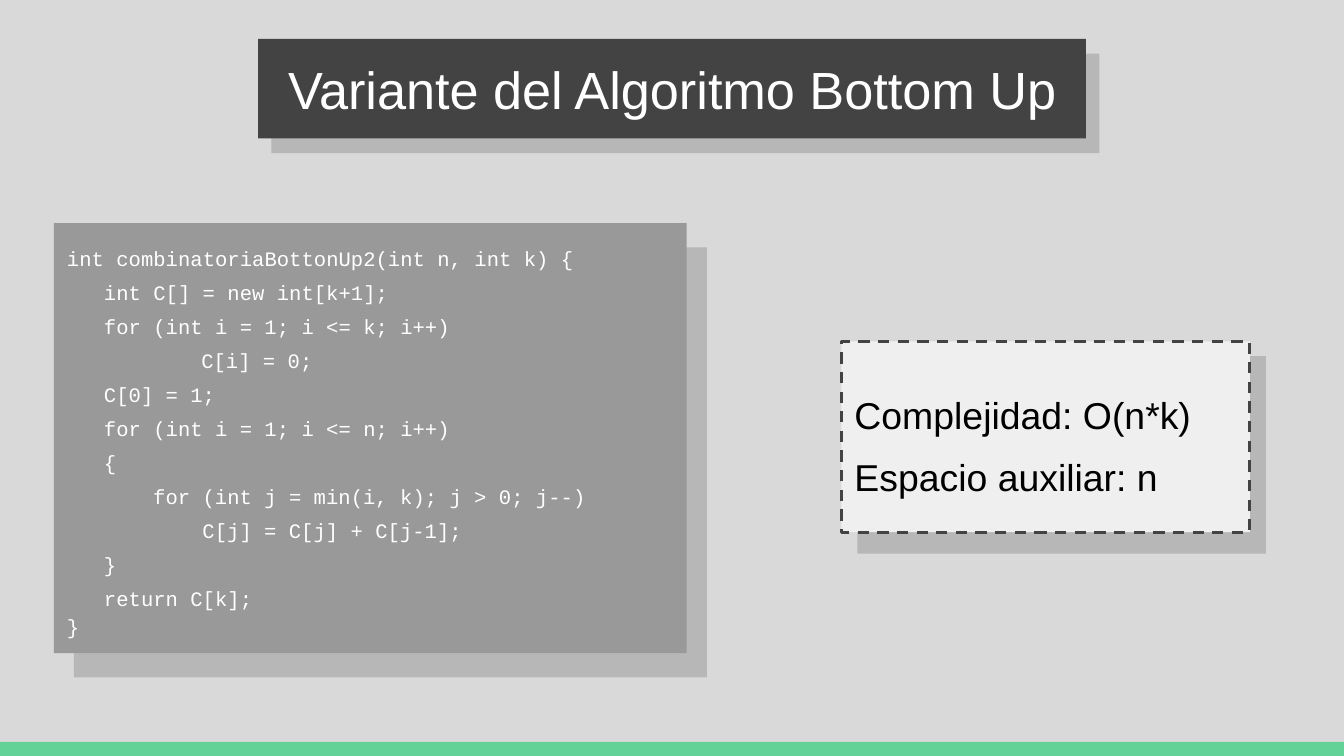
from pptx import Presentation
from pptx.dml.color import RGBColor
from pptx.enum.dml import MSO_LINE
from pptx.enum.shapes import MSO_SHAPE
from pptx.enum.text import MSO_ANCHOR, MSO_AUTO_SIZE, PP_ALIGN
from pptx.util import Inches, Pt

# Grid: square cells, 100 columns across the slide
CELL = Inches(0.1)
COLUMNS, ROWS = 100, 56.25

BACKGROUND = RGBColor(0xD9, 0xD9, 0xD9)
SHADE = RGBColor(0xB7, 0xB7, 0xB7)
DARK = RGBColor(0x43, 0x43, 0x43)
CODE_FILL = RGBColor(0x99, 0x99, 0x99)
NOTE_FILL = RGBColor(0xEF, 0xEF, 0xEF)
GREEN = RGBColor(0x63, 0xD2, 0x97)
WHITE = RGBColor(0xFF, 0xFF, 0xFF)
BLACK = RGBColor(0x00, 0x00, 0x00)

CODE_SIZE = 11
CHARACTER = Pt(CODE_SIZE * 0.6)  # width of one monospaced character

# Code lines: indent in characters, text
CODE = [
    (0, "int combinatoriaBottonUp2(int n, int k) {"),
    (3, "int C[] = new int[k+1];"),
    (3, "for (int i = 1; i <= k; i++)"),
    (10.9, "C[i] = 0;"),
    (3, "C[0] = 1;"),
    (3, "for (int i = 1; i <= n; i++)"),
    (3, "{"),
    (7, "for (int j = min(i, k); j > 0; j--)"),
    (11, "C[j] = C[j] + C[j-1];"),
    (3, "}"),
    (3, "return C[k];"),
    (0, "}"),
]
NOTES = ["Complejidad: O(n*k)", "Espacio auxiliar: n"]


def to_lengths(box):
    return [round(value * CELL) for value in box]


def add_rectangle(slide, box, color):
    shape = slide.shapes.add_shape(MSO_SHAPE.RECTANGLE, *to_lengths(box))
    shape.shadow.inherit = False
    shape.fill.solid()
    shape.fill.fore_color.rgb = color
    shape.line.fill.background()
    return shape


def add_shade(slide, box, right, down, taller=0):
    left, top, width, height = box
    return add_rectangle(slide, (left + right, top + down, width, height + taller), SHADE)


def prepare_frame(shape, anchor):
    frame = shape.text_frame
    frame.word_wrap = True
    frame.auto_size = MSO_AUTO_SIZE.NONE
    frame.vertical_anchor = anchor
    frame.margin_left = frame.margin_right = CELL
    frame.margin_top = frame.margin_bottom = CELL
    return frame


def format_paragraph(paragraph, name, size, color, alignment=PP_ALIGN.LEFT, spacing=1.0):
    paragraph.alignment = alignment
    paragraph.line_spacing = spacing
    paragraph.font.name = name
    paragraph.font.size = Pt(size)
    paragraph.font.color.rgb = color


def place_title(slide, box):
    shade = add_shade(slide, box, 1, 1.1)
    title = slide.shapes.title
    shade.element.addnext(title.element)  # title in front of its shade
    title.left, title.top, title.width, title.height = to_lengths(box)
    title.fill.solid()
    title.fill.fore_color.rgb = DARK
    frame = prepare_frame(title, MSO_ANCHOR.MIDDLE)
    frame.text = "Variante del Algoritmo Bottom Up"
    format_paragraph(frame.paragraphs[0], "Arial", 28, WHITE, PP_ALIGN.CENTER)


def place_code(slide, box):
    add_shade(slide, box, 1.5, 1.8)
    frame = prepare_frame(add_rectangle(slide, box, CODE_FILL), MSO_ANCHOR.TOP)
    frame.text = "\n".join(text for _, text in CODE)
    for paragraph, (indent, _) in zip(frame.paragraphs, CODE):
        format_paragraph(paragraph, "Courier New", CODE_SIZE, WHITE, spacing=1.38)
        properties = paragraph._p.get_or_add_pPr()
        properties.set("marL", str(round(indent * CHARACTER)))
        properties.set("indent", "0")
    frame.paragraphs[-1].line_spacing = 1.15


def place_notes(slide, box):
    add_shade(slide, box, 1.2, 1.1, taller=0.5)
    panel = add_rectangle(slide, box, NOTE_FILL)
    panel.line.color.rgb = DARK
    panel.line.width = Pt(1.5)
    panel.line.dash_style = MSO_LINE.DASH
    frame = prepare_frame(panel, MSO_ANCHOR.MIDDLE)
    frame.text = "\n".join(NOTES)
    for paragraph in frame.paragraphs:
        format_paragraph(paragraph, "Arial", 20, BLACK, spacing=1.38)


def main():
    presentation = Presentation()
    presentation.slide_width, presentation.slide_height = to_lengths((COLUMNS, ROWS))
    slide = presentation.slides.add_slide(presentation.slide_layouts[5])
    slide.background.fill.solid()
    slide.background.fill.fore_color.rgb = BACKGROUND

    # Green band along the bottom edge
    band = 1.05
    add_rectangle(slide, (0, ROWS - band, COLUMNS, band), GREEN)

    # Centred title, code on the left, cost on the right
    title_width = 61.6
    place_title(slide, ((COLUMNS - title_width) / 2, 2.9, title_width, 7.4))
    place_code(slide, (4, 16.6, 47.1, 32))
    place_notes(slide, (62.6, 25.4, 30.4, 14.2))

    presentation.save("out.pptx")


if __name__ == "__main__":
    main()
